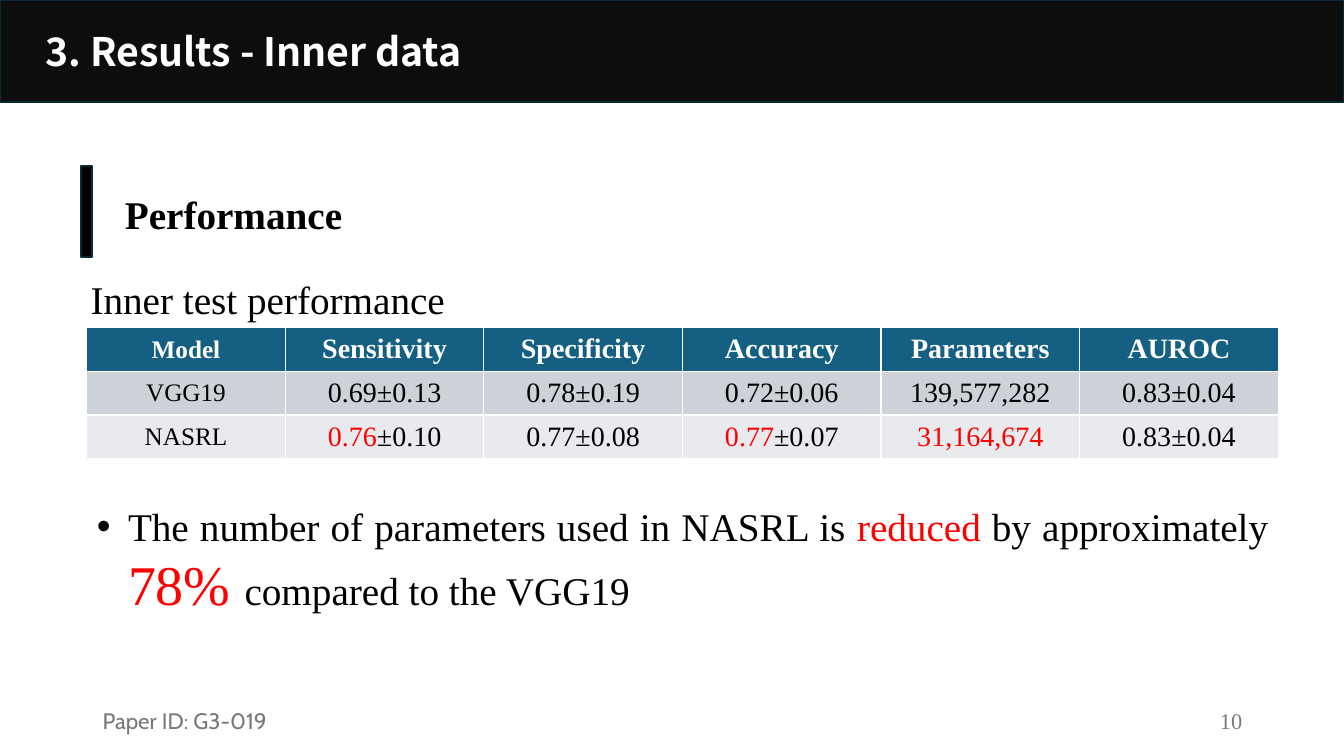
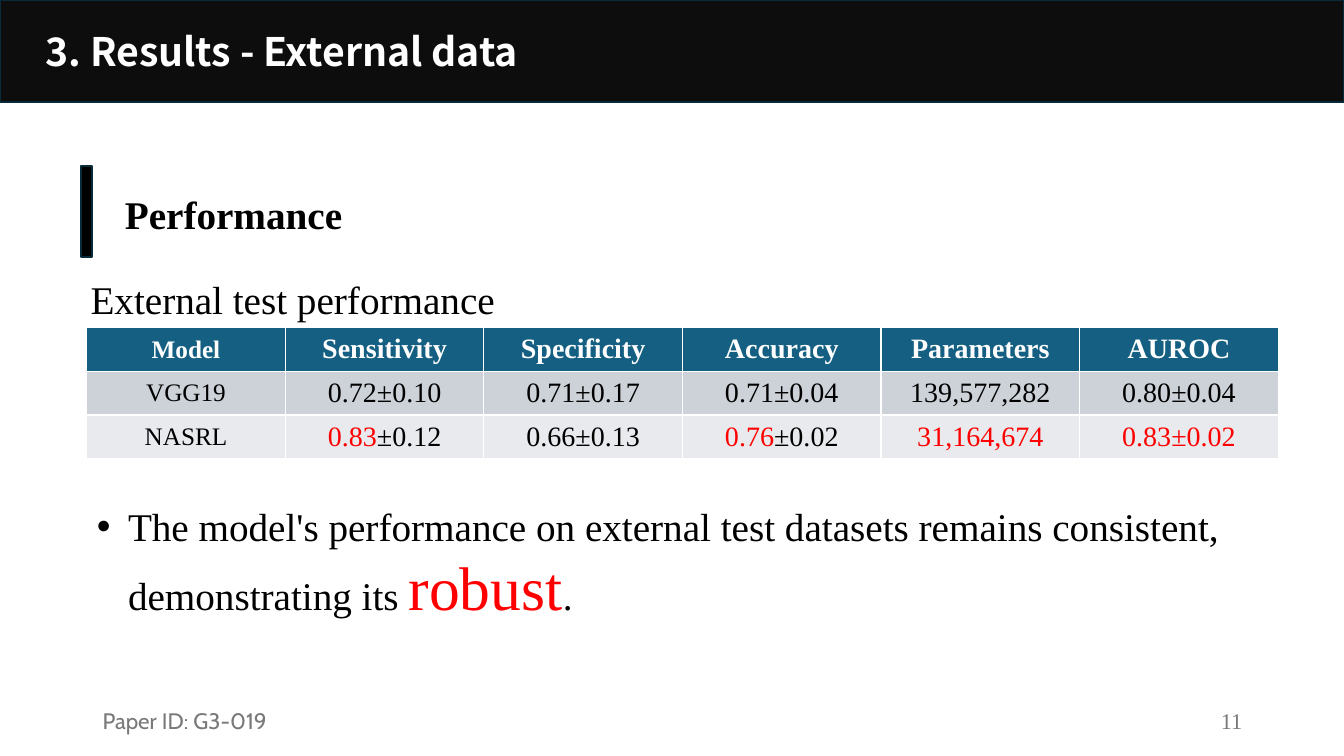
from pptx import Presentation
from pptx.dml.color import RGBColor
from pptx.enum.shapes import MSO_SHAPE
from pptx.enum.text import MSO_ANCHOR, MSO_AUTO_SIZE, PP_ALIGN
from pptx.util import Inches, Pt

WHITE = RGBColor(0xFF, 0xFF, 0xFF)
BLACK = RGBColor(0x00, 0x00, 0x00)
RED = RGBColor(0xFF, 0x00, 0x00)
GRAY = RGBColor(0x79, 0x79, 0x79)
BAND = RGBColor(0x0D, 0x0D, 0x0D)
OUTLINE = RGBColor(0x09, 0x2A, 0x39)
HEADER_FILL = RGBColor(0x15, 0x60, 0x82)
ROW_FILLS = [HEADER_FILL, RGBColor(0xCC, 0xD2, 0xD8), RGBColor(0xE8, 0xEA, 0xED)]

SERIF = "Times New Roman"
HEADER = ["Model", "Sensitivity", "Specificity", "Accuracy", "Parameters", "AUROC"]

# In a table cell, the part before "|" is highlighted
SLIDES = [
    {
        "title": "3. Results - Inner data",
        "caption": "Inner test performance",
        "rows": [
            ["VGG19", "0.69±0.13", "0.78±0.19", "0.72±0.06", "139,577,282", "0.83±0.04"],
            ["NASRL", "0.76|±0.10", "0.77±0.08", "0.77|±0.07", "31,164,674|", "0.83±0.04"],
        ],
        "finding": [
            ("The number of parameters used in NASRL is ", 28, BLACK),
            ("reduced", 28, RED),
            (" by approximately ", 28, BLACK),
            ("78% ", 40, RED),
            ("compared to the VGG19", 28, BLACK),
        ],
        "alignment": PP_ALIGN.JUSTIFY,
    },
    {
        "title": "3. Results - External data",
        "caption": "External test performance",
        "rows": [
            ["VGG19", "0.72±0.10", "0.71±0.17", "0.71±0.04", "139,577,282", "0.80±0.04"],
            ["NASRL", "0.83|±0.12", "0.66±0.13", "0.76|±0.02", "31,164,674|", "0.83±0.02|"],
        ],
        "finding": [
            ("The model's performance on external test datasets remains consistent, "
             "demonstrating its ", 28, BLACK),
            ("robust", 44, RED),
            (".", 28, BLACK),
        ],
        "alignment": PP_ALIGN.LEFT,
    },
]


def add_text(slide, text, left, top, width, height, size, color=BLACK, font=SERIF,
             bold=False, align=PP_ALIGN.LEFT, anchor=MSO_ANCHOR.TOP):
    box = slide.shapes.add_textbox(Inches(left), Inches(top), Inches(width), Inches(height))
    box.text_frame.word_wrap = True
    box.text_frame.vertical_anchor = anchor
    paragraph = box.text_frame.paragraphs[0]
    paragraph.text = text
    paragraph.alignment = align
    paragraph.font.name = font
    paragraph.font.size = Pt(size)
    paragraph.font.bold = bold
    paragraph.font.color.rgb = color


def add_runs(paragraph, runs):
    for text, size, color in runs:
        run = paragraph.add_run()
        run.text = text
        run.font.name = SERIF
        run.font.size = Pt(size)
        run.font.color.rgb = color


presentation = Presentation()
presentation.slide_width = Inches(13.33)
presentation.slide_height = Inches(7.5)
layout = presentation.slide_layouts.get_by_name("Title and Content")

for number, content in enumerate(SLIDES, start=10):
    slide = presentation.slides.add_slide(layout)

    # Title band
    title = slide.shapes.title
    title.left, title.top = Inches(0), Inches(0)
    title.width, title.height = Inches(13.33), Inches(1.01)
    title.fill.solid()
    title.fill.fore_color.rgb = BAND
    title.line.color.rgb = OUTLINE
    title.line.width = Pt(1.5)
    title.text_frame.auto_size = MSO_AUTO_SIZE.NONE
    title.text_frame.vertical_anchor = MSO_ANCHOR.MIDDLE
    title.text_frame.margin_left = Inches(0.45)
    paragraph = title.text_frame.paragraphs[0]
    paragraph.text = content["title"]
    paragraph.alignment = PP_ALIGN.LEFT
    paragraph.font.name = "Noto Sans CJK SC"
    paragraph.font.size = Pt(28)
    paragraph.font.bold = True
    paragraph.font.color.rgb = WHITE

    # Section heading with accent bar
    bar = slide.shapes.add_shape(MSO_SHAPE.RECTANGLE, Inches(0.8), Inches(1.65),
                                 Inches(0.11), Inches(0.9))
    bar.shadow.inherit = False
    bar.fill.solid()
    bar.fill.fore_color.rgb = BLACK
    bar.line.color.rgb = OUTLINE
    bar.line.width = Pt(1.5)
    add_text(slide, "Performance", 1.14, 1.84, 3.29, 0.57, 28, bold=True)

    # Results table
    add_text(slide, content["caption"], 0.8, 2.68, 6.68, 0.57, 28)
    rows = [HEADER] + content["rows"]
    table = slide.shapes.add_table(len(rows), len(HEADER), Inches(0.86), Inches(3.25),
                                   Inches(11.82), Inches(1.23)).table
    for row_index, row in enumerate(rows):
        for column_index, value in enumerate(row):
            cell = table.cell(row_index, column_index)
            cell.fill.solid()
            cell.fill.fore_color.rgb = ROW_FILLS[row_index]
            cell.vertical_anchor = MSO_ANCHOR.MIDDLE
            paragraph = cell.text_frame.paragraphs[0]
            paragraph.alignment = PP_ALIGN.CENTER
            paragraph.font.bold = row_index == 0
            size = 18 if column_index == 0 else 20
            color = WHITE if row_index == 0 else BLACK
            highlight, _, rest = value.rpartition("|")
            runs = [(highlight, size, RED), (rest, size, color)]
            add_runs(paragraph, [run for run in runs if run[0]])

    # Key finding
    body = slide.placeholders[1]
    body.left, body.top = Inches(0.86), Inches(4.93)
    body.width, body.height = Inches(11.82), Inches(1.3)
    body.text_frame.auto_size = MSO_AUTO_SIZE.NONE
    paragraph = body.text_frame.paragraphs[0]
    paragraph.alignment = content["alignment"]
    paragraph.space_before = Pt(0)
    properties = paragraph._p.get_or_add_pPr()
    properties.set("marL", str(Inches(0.31)))
    properties.set("indent", str(Inches(-0.31)))
    add_runs(paragraph, content["finding"])

    # Footer
    add_text(slide, "Paper ID: G3-019", 0.92, 6.95, 3, 0.4, 16, GRAY, "Cabin",
             anchor=MSO_ANCHOR.MIDDLE)
    add_text(slide, str(number), 9.42, 6.95, 3, 0.4, 16, GRAY,
             align=PP_ALIGN.RIGHT, anchor=MSO_ANCHOR.MIDDLE)

presentation.save("out.pptx")
